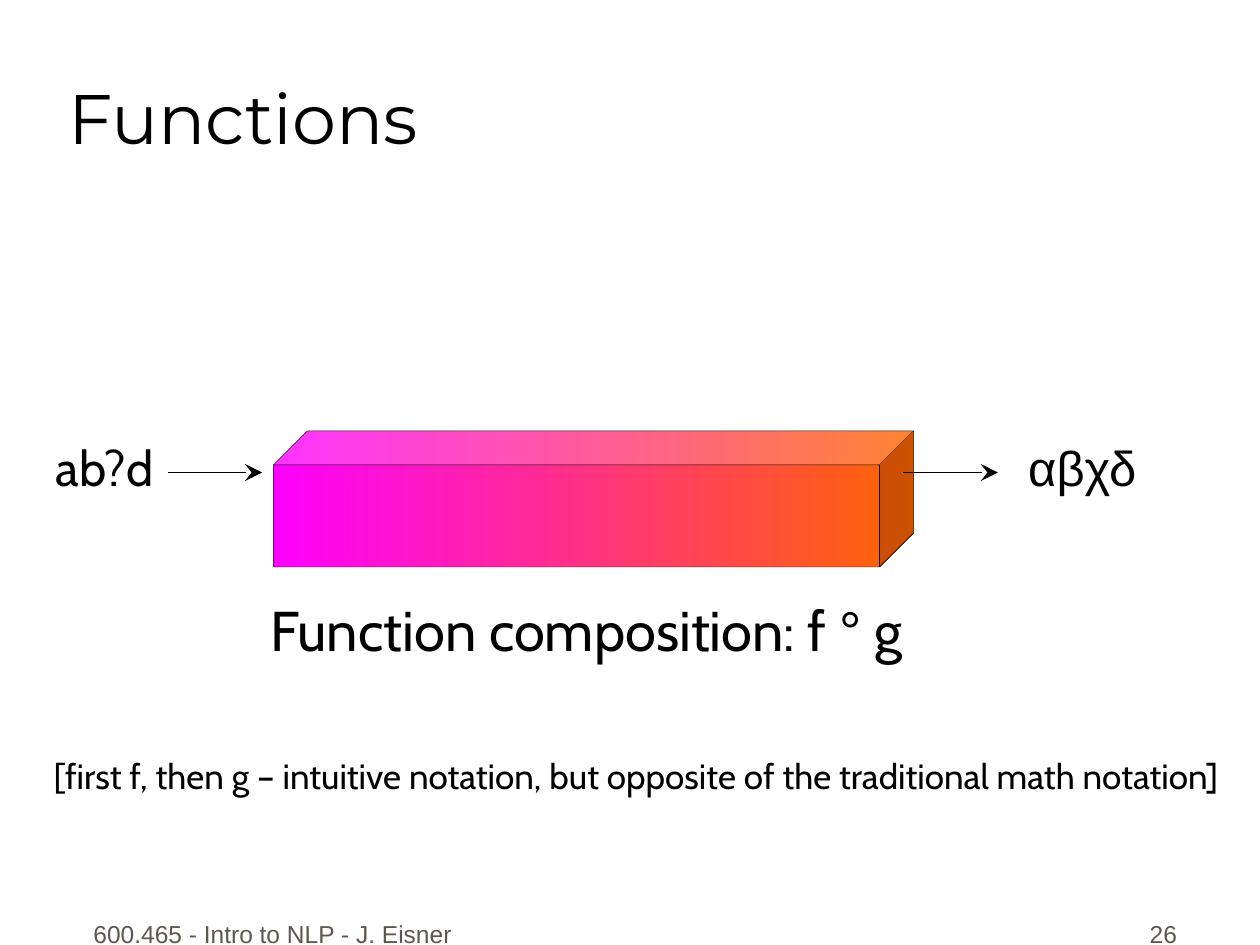
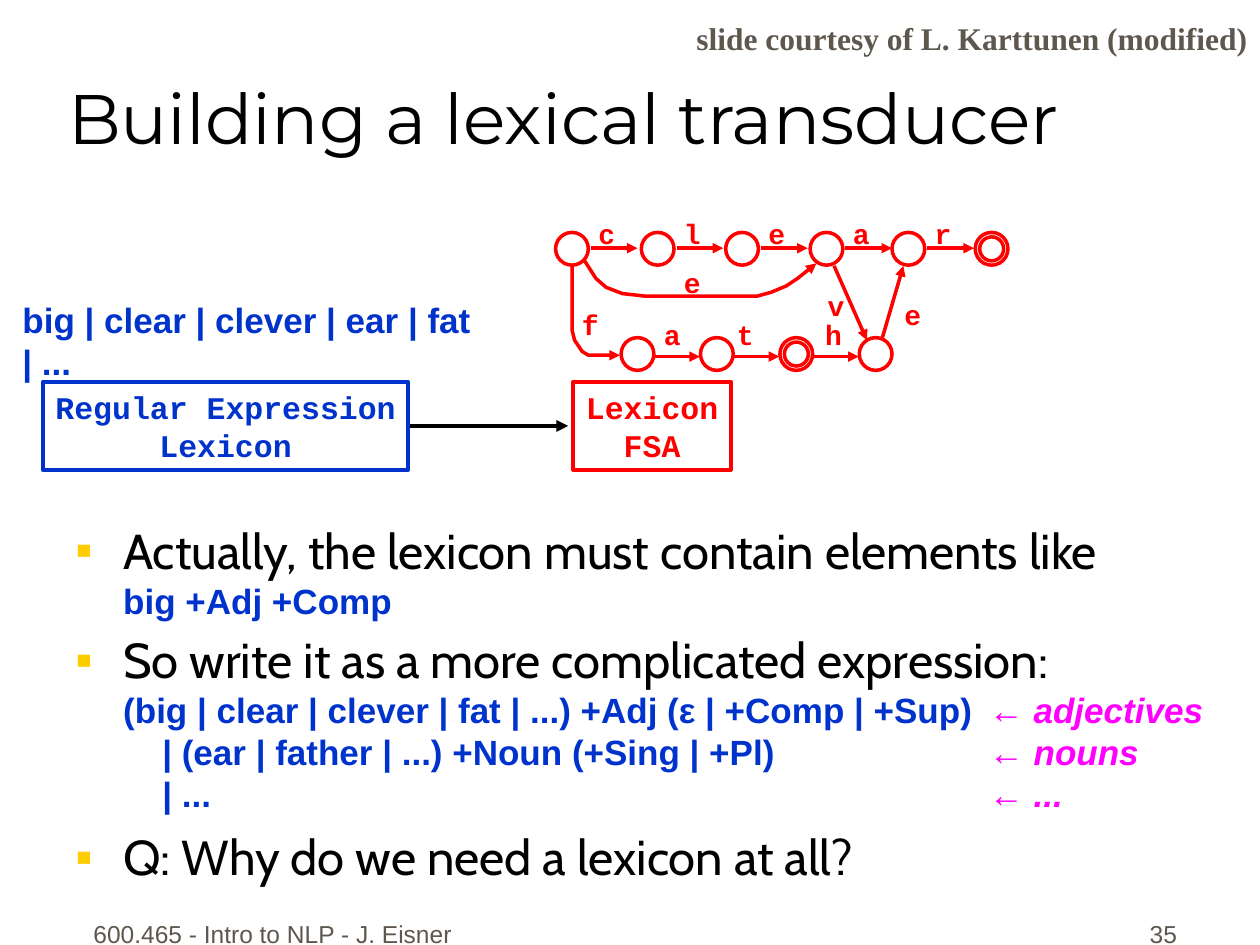
"""Build two lecture slides on functions and lexical transducers."""
from dataclasses import dataclass
from typing import NamedTuple

import lxml.etree
import pptx
import pptx.dml.color
import pptx.enum.shapes
import pptx.enum.text
import pptx.oxml.ns
import pptx.util

RGBColor = pptx.dml.color.RGBColor
ShapeKind = pptx.enum.shapes.MSO_SHAPE
Anchor = pptx.enum.text.MSO_ANCHOR
Align = pptx.enum.text.PP_ALIGN

BLACK = RGBColor(0x00, 0x00, 0x00)
BLUE = RGBColor(0x00, 0x33, 0xCC)
RED = RGBColor(0xFF, 0x00, 0x00)
MAGENTA = RGBColor(0xFF, 0x00, 0xFF)
ORANGE = RGBColor(0xFF, 0x66, 0x00)
GOLD = RGBColor(0xFF, 0xCC, 0x00)
GREY = RGBColor(0x5E, 0x57, 0x4E)

SLIDE_WIDTH = pptx.util.Inches(10)
SLIDE_HEIGHT = pptx.util.Inches(7.5)
COLUMNS = 100
ROWS = 75


class Box(NamedTuple):
    left: float
    top: float
    width: float
    height: float


class Point(NamedTuple):
    column: float
    row: float


@dataclass(frozen=True)
class Style:
    font: str
    size: float
    color: RGBColor = BLACK
    bold: bool = False
    italic: bool = False


class Run(NamedTuple):
    text: str
    style: Style


@dataclass(frozen=True)
class Line:
    color: RGBColor
    width: float
    arrow: str = "triangle"
    arrow_size: str = "med"


@dataclass(frozen=True)
class Chain:
    """A row of states joined by lettered arrows."""
    centers: tuple[float, ...]
    middle: float
    final: int
    letters: str
    label_columns: tuple[float, ...]
    label_top: float
    arrow_offset: float
    arrow_row: float


TITLE = Style("Montserrat", 40)
FOOTER = Style("Arial", 14, GREY)
CREDIT = Style("Times New Roman", 18, GREY, bold=True)
BODY = Style("Cabin", 28)
GREEK = Style("Arial", 28)
COMPOSITION = Style("Cabin", 32)
RING = Style("Arial", 32)
REMARK = Style("Cabin", 20)
EXPRESSION = Style("Arial", 20, BLUE, bold=True)
COMMENT = Style("Arial", 20, MAGENTA, bold=True, italic=True)
LETTER = Style("Courier New", 16, RED, bold=True)

FLOW_LINE = Line(BLACK, 1, "stealth", "lg")
BUILD_LINE = Line(BLACK, 2.25)
ARC_LINE = Line(RED, 2)

TOP_CENTERS = (45.4, 52.2, 58.9, 65.6, 72.1, 78.7)
CHAINS = (
    Chain(TOP_CENTERS, 19.75, 5, "clear",
          tuple(center + 1.1 for center in TOP_CENTERS[:-1]), 16.7, 1.5, 19.7),
    Chain((50.6, 56.9, 63.2, 69.5), 28.1, 2, "ath", (51.7, 57.5, 64.5), 24.7, 1.25, 28.3),
)
CROSS_ARCS = ((Point(66.2, 21.1), Point(68.8, 27)), (Point(70, 26.9), Point(71.7, 21.1)))
CROSS_LABELS = {Point(64.7, 22.4): "v", Point(70.8, 23.1): "e",
                Point(53.3, 20.6): "e", Point(45.2, 23.9): "f"}
BENT_ARCS = (
    ((46.4, 20.7), (47.3, 22.1), (48.1, 22.8), (49.4, 23.3), (51.2, 23.5),
     (60.1, 23.5), (61.2, 23.2), (62.4, 22.7), (63.3, 22.1), (64.8, 20.9)),
    ((45.4, 21.1), (45.4, 26.2), (45.6, 27), (46.2, 27.9), (46.7, 28.2), (49.2, 28.2)),
)

BULLETS = (
    (0, [Run("Actually, the lexicon must contain elements like\n", BODY),
         Run("big +Adj +Comp", EXPRESSION)]),
    (5, [Run("So write it as a more complicated expression:\n", BODY),
         Run("(big | clear | clever | fat | ...) +Adj (ε | +Comp | +Sup)\t", EXPRESSION),
         Run("← adjectives\n", COMMENT),
         Run("\t| (ear | father | ...) +Noun (+Sing | +Pl)\t", EXPRESSION),
         Run("← nouns\n", COMMENT),
         Run("\t| ...\t", EXPRESSION),
         Run("← ...", COMMENT)]),
    (7, [Run("Q: Why do we need a lexicon at all?", BODY)]),
)
BULLET_TABS = (0.69, 7.25)


def across(columns: float) -> int:
    """Convert grid columns to a length."""
    return round(SLIDE_WIDTH * columns / COLUMNS)


def down(rows: float) -> int:
    """Convert grid rows to a length."""
    return round(SLIDE_HEIGHT * rows / ROWS)


def place(box: Box) -> tuple[int, int, int, int]:
    """Convert a grid box to lengths."""
    return across(box.left), down(box.top), across(box.width), down(box.height)


def apply_style(font, style: Style) -> None:
    """Give a font its face, size, colour and weight."""
    font.name = style.font
    font.size = pptx.util.Pt(style.size)
    font.color.rgb = style.color
    font.bold = style.bold
    font.italic = style.italic


def write_paragraph(paragraph, runs: list[Run]) -> None:
    """Fill a paragraph, breaking lines at newlines."""
    uniform = len({run.style for run in runs}) == 1
    if uniform:
        apply_style(paragraph.font, runs[0].style)
    for run in runs:
        for index, part in enumerate(run.text.split("\n")):
            if index:
                paragraph.add_line_break()
            if part:
                text_run = paragraph.add_run()
                text_run.text = part
                if not uniform:
                    apply_style(text_run.font, run.style)


def write_frame(frame, paragraphs: list[list[Run]], align=Align.LEFT,
                anchor=Anchor.TOP, wrap: bool = True) -> None:
    """Fill a text frame with aligned paragraphs."""
    frame.word_wrap = wrap
    frame.vertical_anchor = anchor
    for index, runs in enumerate(paragraphs):
        paragraph = frame.add_paragraph() if index else frame.paragraphs[0]
        paragraph.alignment = align
        write_paragraph(paragraph, runs)


def add_text(slide, box: Box, runs: list[Run], align=Align.LEFT,
             anchor=Anchor.TOP, wrap: bool = True) -> None:
    """Add a text box holding one paragraph."""
    write_frame(slide.shapes.add_textbox(*place(box)).text_frame, [runs], align, anchor, wrap)


def add_outline(slide, kind, box: Box, line: Line):
    """Add an unfilled preset shape."""
    shape = slide.shapes.add_shape(kind, *place(box))
    shape.shadow.inherit = False
    shape.fill.background()
    shape.line.color.rgb = line.color
    shape.line.width = pptx.util.Pt(line.width)
    return shape


def finish_arrow(shape, line: Line) -> None:
    """Format a line and put an arrowhead on its end."""
    shape.line.color.rgb = line.color
    shape.line.width = pptx.util.Pt(line.width)
    lxml.etree.SubElement(shape.line._get_or_add_ln(), pptx.oxml.ns.qn("a:tailEnd"),
                          type=line.arrow, w=line.arrow_size, len=line.arrow_size)


def add_arrow(slide, start: Point, end: Point, line: Line) -> None:
    """Add a straight arrow."""
    connector = slide.shapes.add_connector(
        pptx.enum.shapes.MSO_CONNECTOR.STRAIGHT,
        across(start.column), down(start.row), across(end.column), down(end.row))
    finish_arrow(connector, line)
    lxml.etree.SubElement(connector._element.spPr, pptx.oxml.ns.qn("a:effectLst"))


def add_bent_arc(slide, points, line: Line) -> None:
    """Add an open outline that ends in an arrowhead."""
    start, *rest = [(across(column), down(row)) for column, row in points]
    builder = slide.shapes.build_freeform(*start)
    builder.add_line_segments(rest, close=False)
    shape = builder.convert_to_shape()
    shape.shadow.inherit = False
    shape.fill.background()
    finish_arrow(shape, line)


def add_state(slide, center: float, middle: float, final: bool) -> None:
    """Add a state circle, doubled when it is final."""
    for size in (2.6, 1.9) if final else (2.6,):
        add_outline(slide, ShapeKind.OVAL,
                    Box(center - size / 2, middle - size / 2, size, size), ARC_LINE)


def add_letter(slide, left: float, top: float, letter: str) -> None:
    """Add the letter on an arc."""
    add_text(slide, Box(left, top, 2.4, 3.6), [Run(letter, LETTER)])


def add_chain(slide, chain: Chain) -> None:
    """Add a row of states with its arrows and letters."""
    for index, center in enumerate(chain.centers):
        add_state(slide, center, chain.middle, index == chain.final)
    for center, left, letter in zip(chain.centers, chain.label_columns, chain.letters):
        start = Point(center + chain.arrow_offset, chain.arrow_row)
        add_arrow(slide, start, Point(start.column + 3.7, start.row), ARC_LINE)
        add_letter(slide, left, chain.label_top, letter)


def add_bullets(slide, box: Box) -> None:
    """Add the bulleted text with its tab stops."""
    frame = slide.shapes.add_textbox(*place(box)).text_frame
    frame.word_wrap = True
    indent = pptx.util.Inches(0.38)
    for index, (space, runs) in enumerate(BULLETS):
        paragraph = frame.add_paragraph() if index else frame.paragraphs[0]
        if space:
            paragraph.space_before = pptx.util.Pt(space)
        properties = paragraph._p.get_or_add_pPr()
        properties.set("marL", str(indent))
        properties.set("indent", str(-indent))
        color = lxml.etree.SubElement(properties, pptx.oxml.ns.qn("a:buClr"))
        lxml.etree.SubElement(color, pptx.oxml.ns.qn("a:srgbClr"), val=str(GOLD))
        lxml.etree.SubElement(properties, pptx.oxml.ns.qn("a:buFont"), typeface="Arial")
        lxml.etree.SubElement(properties, pptx.oxml.ns.qn("a:buChar"), char="▪")
        tabs = lxml.etree.SubElement(properties, pptx.oxml.ns.qn("a:tabLst"))
        for stop in BULLET_TABS:
            lxml.etree.SubElement(tabs, pptx.oxml.ns.qn("a:tab"),
                                  pos=str(pptx.util.Inches(stop)), algn="l")
        write_paragraph(paragraph, runs)


def add_slide(presentation, title: str, number: int, title_width: float):
    """Add a slide with its title, course footer and number."""
    slide = presentation.slides.add_slide(presentation.slide_layouts[5])
    placeholder = slide.shapes.title
    placeholder.left, placeholder.top, placeholder.width, placeholder.height = place(
        Box(4.4, 0.6, title_width, 12.5))
    write_frame(placeholder.text_frame, [[Run(title, TITLE)]], anchor=Anchor.BOTTOM)
    add_text(slide, Box(5.8, 70.8, 31.7, 5), [Run("600.465 - Intro to NLP - J. Eisner", FOOTER)],
             Align.CENTER, Anchor.BOTTOM)
    add_text(slide, Box(73.6, 70.8, 20.8, 5), [Run(str(number), FOOTER)],
             Align.RIGHT, Anchor.BOTTOM)
    return slide


def build_functions(presentation) -> None:
    """Build the slide on function composition."""
    slide = add_slide(presentation, "Functions", 26, 85)
    cube = add_outline(slide, ShapeKind.CUBE, Box(21.7, 34.2, 50.8, 10.8), Line(BLACK, 0.25))
    cube.fill.gradient()
    cube.fill.gradient_angle = 0
    for stop, color in zip(cube.fill.gradient_stops, (MAGENTA, ORANGE)):
        stop.color.rgb = color
    for left, text, style in ((3, "ab?d", BODY), (80.6, "αβχδ", GREEK)):
        add_text(slide, Box(left, 34.2, 10.6, 5.7), [Run(text, style)],
                 Align.CENTER, Anchor.MIDDLE, wrap=False)
    for start in (13.3, 71.7):
        add_arrow(slide, Point(start, 37.5), Point(start + 7.5, 37.5), FLOW_LINE)
    add_text(slide, Box(17.9, 46.8, 57.3, 6.4),
             [Run("Function composition: f ", COMPOSITION), Run("°", RING), Run(" g", COMPOSITION)],
             Align.CENTER, wrap=False)
    add_text(slide, Box(-2.5, 59.4, 106, 4.4),
             [Run("[first f, then g – intuitive notation, but opposite of the "
                  "traditional math notation]", REMARK)], Align.CENTER, wrap=False)


def build_transducer(presentation) -> None:
    """Build the slide on the lexical transducer."""
    slide = add_slide(presentation, "Building a lexical transducer", 35, 90.6)
    add_bullets(slide, Box(5, 40.8, 93.3, 31.7))
    for left, width, color, lines in ((3.4, 29, BLUE, ("Regular Expression", "Lexicon")),
                                      (45.5, 12.5, RED, ("Lexicon", "FSA"))):
        shape = add_outline(slide, ShapeKind.RECTANGLE, Box(left, 30.3, width, 7),
                            Line(color, 2.25))
        style = Style("Courier New", 18, color, bold=True)
        write_frame(shape.text_frame, [[Run(text, style)] for text in lines],
                    Align.CENTER, wrap=False)
    add_arrow(slide, Point(32.5, 33.8), Point(45.1, 33.8), BUILD_LINE)
    add_text(slide, Box(54.2, 0, 45.8, 5),
             [Run("slide courtesy of L. Karttunen (modified)", CREDIT)],
             Align.RIGHT, Anchor.BOTTOM)
    add_text(slide, Box(0.8, 23.2, 42.2, 4.4),
             [Run("big | clear | clever | ear | fat | ...", EXPRESSION)], wrap=False)
    for chain in CHAINS:
        add_chain(slide, chain)
    for start, end in CROSS_ARCS:
        add_arrow(slide, start, end, ARC_LINE)
    for points in BENT_ARCS:
        add_bent_arc(slide, points, ARC_LINE)
    for point, letter in CROSS_LABELS.items():
        add_letter(slide, point.column, point.row, letter)


def main() -> None:
    """Build and save the presentation."""
    presentation = pptx.Presentation()
    presentation.slide_width = SLIDE_WIDTH
    presentation.slide_height = SLIDE_HEIGHT
    build_functions(presentation)
    build_transducer(presentation)
    presentation.save("out.pptx")


if __name__ == "__main__":
    main()
